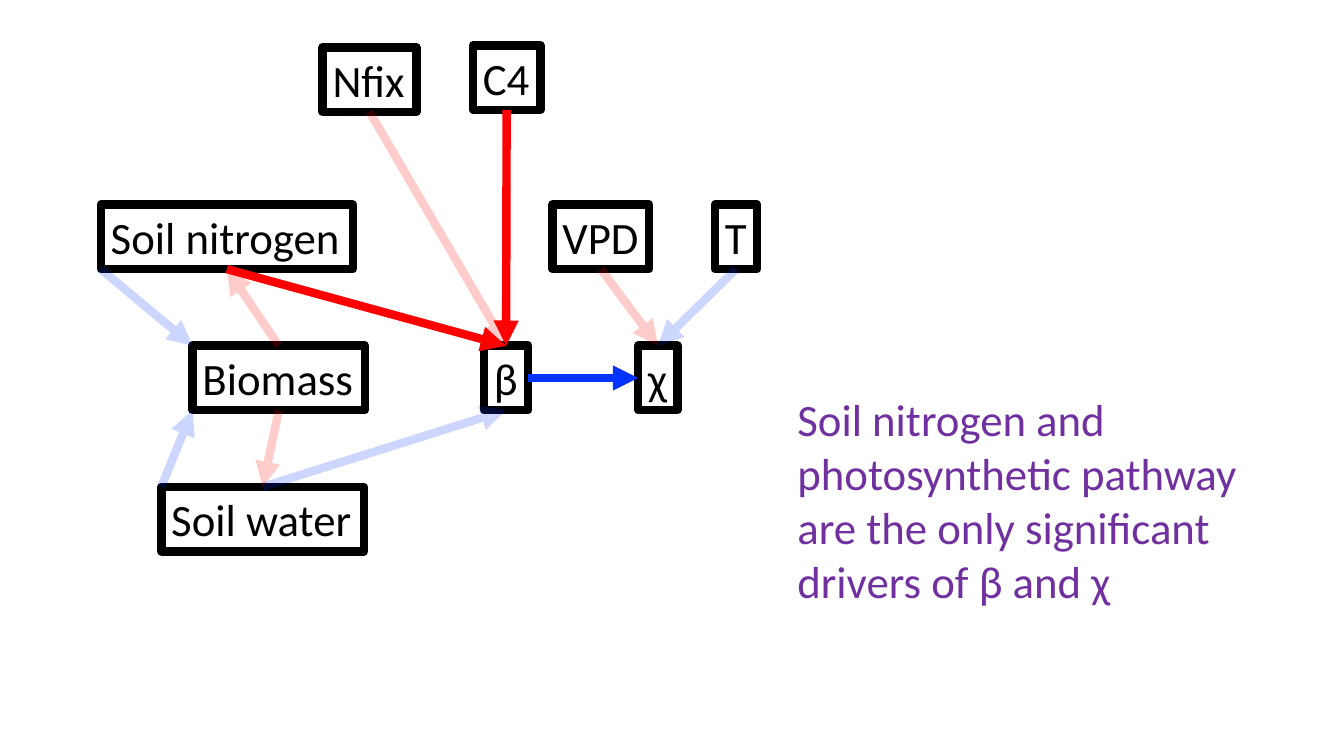
import pptx
import pptx.util
import pptx.dml.color
import pptx.enum.shapes
import pptx.enum.text
import pptx.oxml
import pptx.oxml.ns

PX = 9144
COLORS = {"black": "000000", "red": "FF0000", "blue": "0432FF", "purple": "7030A0"}
FONT = {"name": "Calibri", "size": pptx.util.Pt(32)}
LINE_WIDTH = pptx.util.Pt(6)
FADED = 20
BOX_HEIGHT = 64
SIDES = {"top": 0, "left": 1, "bottom": 2, "right": 3}

VARIABLES = {
    "Soil nitrogen": (0, 158, 250),
    "β": (380, 298, 44),
    "Soil water": (60, 438, 201),
    "χ": (533, 298, 39),
    "VPD": (448, 158, 96),
    "T": (609, 158, 42),
    "Nfix": (220, 2, 93),
    "C4": (369, 0, 67),
    "Biomass": (91, 298, 171),
}
PATHS = [
    ("Soil nitrogen", "bottom", "β", "top", "red", 100),
    ("Soil water", "top", "β", "bottom", "blue", FADED),
    ("β", "right", "χ", "left", "blue", 100),
    ("VPD", "bottom", "χ", "top", "red", FADED),
    ("T", "bottom", "χ", "top", "blue", FADED),
    ("Nfix", "bottom", "β", "top", "red", FADED),
    ("C4", "bottom", "β", "top", "red", 100),
    ("Biomass", "top", "Soil nitrogen", "bottom", "red", FADED),
    ("Biomass", "bottom", "Soil water", "top", "red", FADED),
    ("Soil water", "top left", "Biomass", "bottom left", "blue", FADED),
    ("Soil nitrogen", "bottom left", "Biomass", "top left", "blue", FADED),
]


def rgb(color):
    return pptx.dml.color.RGBColor.from_string(COLORS[color])


def add_text(s, text, box, color, wrap):
    sp = s.shapes.add_textbox(*(n * PX for n in box))
    tf = sp.text_frame
    frame_format = {
        "word_wrap": wrap,
        "auto_size": pptx.enum.text.MSO_AUTO_SIZE.SHAPE_TO_FIT_TEXT,
    }
    for key, value in frame_format.items():
        setattr(tf, key, value)
    r = tf.paragraphs[0].add_run()
    r.text = text
    for key, value in FONT.items():
        setattr(r.font, key, value)
    r.font.color.rgb = rgb(color)
    return sp


def corner(sp, place):
    return sp.left, sp.top + (sp.height if place.startswith("bottom") else 0)


def add_path(s, start, start_place, end, end_place, color, opacity):
    line = s.shapes.add_connector(
        pptx.enum.shapes.MSO_CONNECTOR.STRAIGHT,
        *corner(start, start_place), *corner(end, end_place))
    if start_place in SIDES:
        line.begin_connect(start, SIDES[start_place])
    if end_place in SIDES:
        line.end_connect(end, SIDES[end_place])
    line.line.width = LINE_WIDTH
    line.line.color.rgb = rgb(color)
    ln = line.line._get_or_add_ln()
    ns = pptx.oxml.ns.nsdecls("a")
    ln.append(pptx.oxml.parse_xml(f'<a:tailEnd {ns} type="triangle"/>'))
    if opacity < 100:
        alpha = pptx.oxml.parse_xml(f'<a:alpha {ns} val="{opacity * 1000}"/>')
        ln.find(".//" + pptx.oxml.ns.qn("a:srgbClr")).append(alpha)
    ln.getparent().append(pptx.oxml.parse_xml(f"<a:effectLst {ns}/>"))


def add_diagram(s, left, top):
    boxes = {}
    for name, (x, y, width) in VARIABLES.items():
        sp = add_text(s, name, (left + x, top + y, width, BOX_HEIGHT), "black", False)
        sp.line.width = LINE_WIDTH
        sp.line.color.rgb = rgb("black")
        boxes[name] = sp
    for start, start_place, end, end_place, color, opacity in PATHS:
        add_path(s, boxes[start], start_place, boxes[end], end_place, color, opacity)


def add_conclusion(s, box):
    add_text(s, "Soil nitrogen and photosynthetic pathway are the only "
                "significant drivers of β and χ", box, "purple", True)


def main():
    prs = pptx.Presentation()
    prs.slide_width = 1333 * PX
    prs.slide_height = 750 * PX
    s = prs.slides.add_slide(prs.slide_layouts[6])
    add_diagram(s, 100, 45)
    add_conclusion(s, (781, 384, 511, 226))
    prs.save("out.pptx")


if __name__ == "__main__":
    main()
